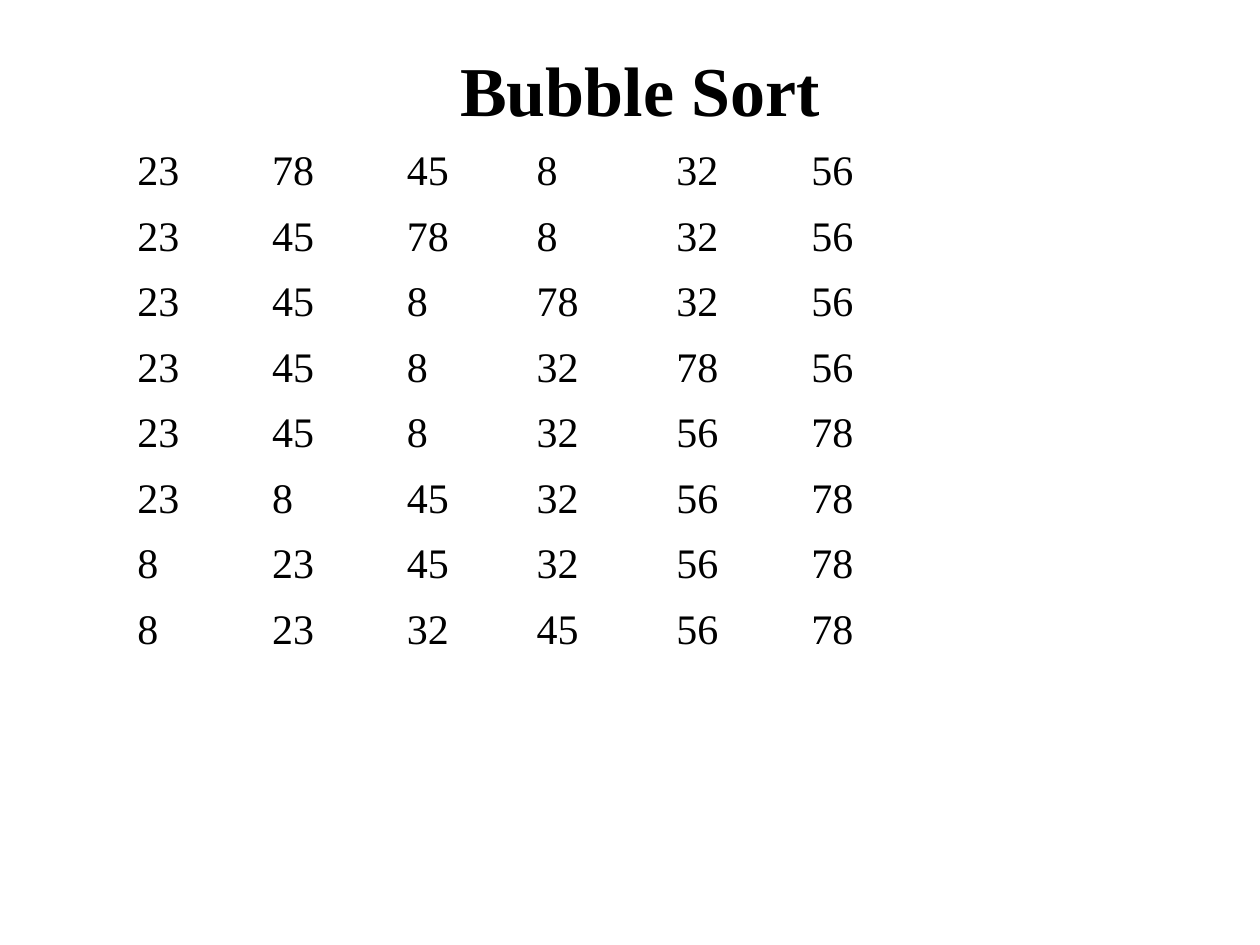
"""Build a slide that traces a bubble sort row by row."""
from pptx import Presentation
from pptx import util as u
from pptx.dml.color import RGBColor
from pptx.enum import text

COLOURS = {"text": "000000"}
FONT = "Times New Roman"
SLIDE_WIDTH, SLIDE_HEIGHT = 10, 7.5
COLUMN_WIDTHS = [1.07, 1.07, 1.03, 1.11, 1.07, 1.07]
ROW_HEIGHT, EMPTY_ROW_HEIGHT, EMPTY_ROWS = 0.52, 0.57, 2
SORT_STEPS = [
    [23, 78, 45, 8, 32, 56],
    [23, 45, 78, 8, 32, 56],
    [23, 45, 8, 78, 32, 56],
    [23, 45, 8, 32, 78, 56],
    [23, 45, 8, 32, 56, 78],
    [23, 8, 45, 32, 56, 78],
    [8, 23, 45, 32, 56, 78],
    [8, 23, 32, 45, 56, 78],
]


def add_run(paragraph, wording, size, bold=False):
    run = paragraph.add_run()
    run.text = wording
    run.font.name = FONT
    run.font.size = u.Pt(size)
    run.font.bold = bold
    run.font.color.rgb = RGBColor.from_string(COLOURS["text"])


def set_title(slide, wording):
    title = slide.shapes.title
    title.left, title.top = u.Inches(0.83), u.Inches(0.32)
    title.width, title.height = u.Inches(8.5), u.Inches(0.77)
    frame = title.text_frame
    frame.word_wrap = True
    frame.auto_size = text.MSO_AUTO_SIZE.NONE
    frame.vertical_anchor = text.MSO_ANCHOR.MIDDLE
    paragraph = frame.paragraphs[0]
    paragraph.alignment = text.PP_ALIGN.CENTER
    add_run(paragraph, wording, 40, bold=True)


def fill_cell(cell, wording):
    paragraph = cell.text_frame.paragraphs[0]
    paragraph.line_spacing = 0.86
    add_run(paragraph, wording, 24)


def add_steps_table(slide, steps):
    heights = [ROW_HEIGHT] * len(steps) + [EMPTY_ROW_HEIGHT] * EMPTY_ROWS
    frame = slide.shapes.add_table(
        len(heights), len(COLUMN_WIDTHS), u.Inches(0.92), u.Inches(1.17),
        u.Inches(sum(COLUMN_WIDTHS)), u.Inches(sum(heights)))
    table = frame.table
    table.first_row = table.horz_banding = False
    for column, width in zip(table.columns, COLUMN_WIDTHS):
        column.width = u.Inches(width)
    for row, height in zip(table.rows, heights):
        row.height = u.Inches(height)
    for cell in table.iter_cells():
        cell.fill.background()
        cell.margin_left = u.Inches(0.17)
    for row, step in zip(table.rows, steps):
        for cell, number in zip(row.cells, step):
            fill_cell(cell, str(number))


def main():
    presentation = Presentation()
    presentation.slide_width = u.Inches(SLIDE_WIDTH)
    presentation.slide_height = u.Inches(SLIDE_HEIGHT)
    slide = presentation.slides.add_slide(presentation.slide_layouts[5])
    set_title(slide, "Bubble Sort")
    add_steps_table(slide, SORT_STEPS)
    presentation.save("out.pptx")


if __name__ == "__main__":
    main()
